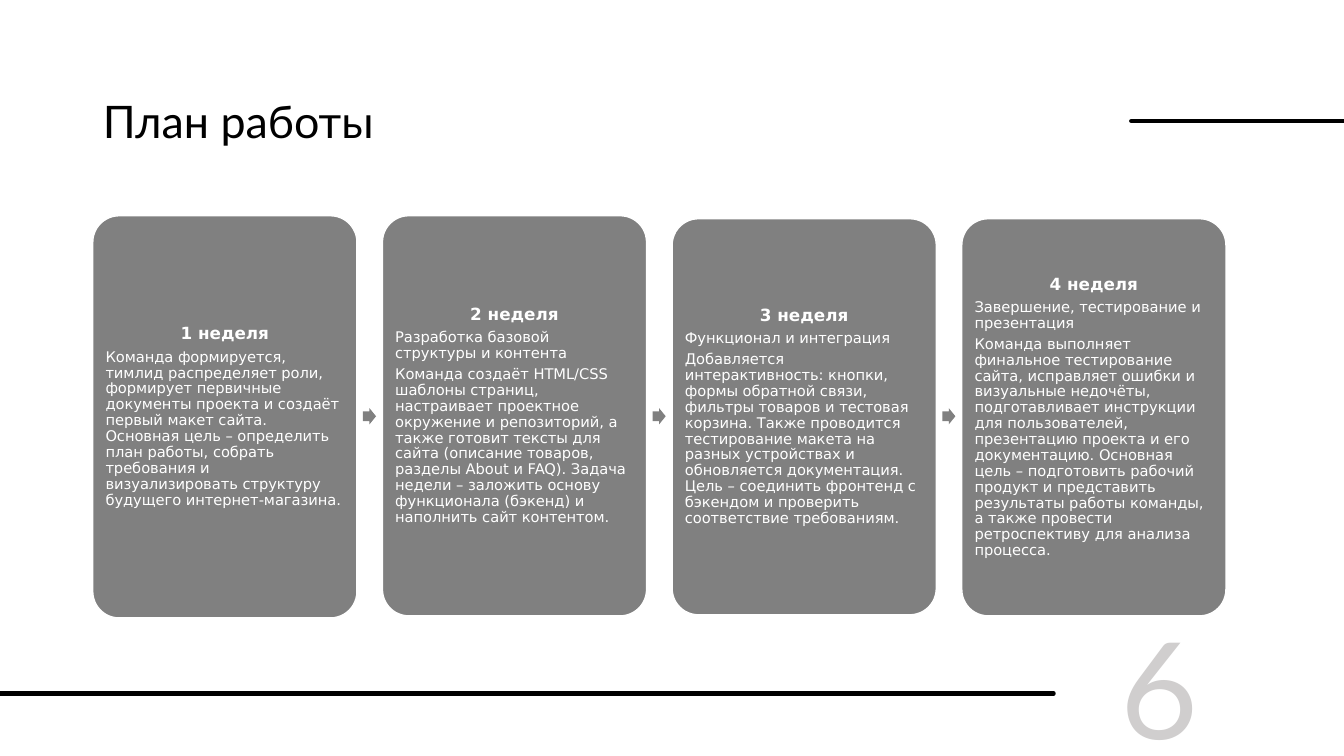
from lxml.etree import SubElement
from pptx import Presentation
from pptx.dml.color import RGBColor
from pptx.enum.shapes import MSO_CONNECTOR, MSO_SHAPE
from pptx.enum.text import MSO_ANCHOR, PP_ALIGN
from pptx.oxml.ns import qn
from pptx.util import Inches, Pt

BLACK = RGBColor(0x00, 0x00, 0x00)
WHITE = RGBColor(0xFF, 0xFF, 0xFF)
CARD_GRAY = RGBColor(0x80, 0x80, 0x80)
NUMBER_GRAY = RGBColor(0xD0, 0xCE, 0xCE)

HEADING_FONT = "Lato"
CARD_FONT = "DejaVu Sans"

GRID_LEFT = 0.92
COLUMN_STEP = 2.873
CARD_WIDTH = 2.62
ARROW_OFFSET = CARD_WIDTH + 0.06

# Top and height of each card, then its heading and paragraphs
WEEKS = [
    (2.14, 3.99, "1 неделя", [
        "Команда формируется, тимлид распределяет роли, формирует первичные "
        "документы проекта и создаёт первый макет сайта. Основная цель – "
        "определить план работы, собрать требования и визуализировать "
        "структуру будущего интернет-магазина.",
    ]),
    (2.14, 3.97, "2 неделя", [
        "Разработка базовой структуры и контента",
        "Команда создаёт HTML/CSS шаблоны страниц, настраивает проектное "
        "окружение и репозиторий, а также готовит тексты для сайта (описание "
        "товаров, разделы About и FAQ). Задача недели – заложить основу "
        "функционала (бэкенд) и наполнить сайт контентом.",
    ]),
    (2.17, 3.93, "3 неделя", [
        "Функционал и интеграция",
        "Добавляется интерактивность: кнопки, формы обратной связи, фильтры "
        "товаров и тестовая корзина. Также проводится тестирование макета на "
        "разных устройствах и обновляется документация. Цель – соединить "
        "фронтенд с бэкендом и проверить соответствие требованиям.",
    ]),
    (2.17, 3.94, "4 неделя", [
        "Завершение, тестирование и презентация",
        "Команда выполняет финальное тестирование сайта, исправляет ошибки и "
        "визуальные недочёты, подготавливает инструкции для пользователей, "
        "презентацию проекта и его документацию. Основная цель – подготовить "
        "рабочий продукт и представить результаты работы команды, а также "
        "провести ретроспективу для анализа процесса.",
    ]),
]


def style_paragraph(paragraph, font_name, size, color, bold=False):
    for run in paragraph.runs:
        run.font.name = font_name
        run.font.size = Pt(size)
        run.font.color.rgb = color
        run.font.bold = bold


def add_rule(slide, start, end, y):
    """Draw a horizontal black line with round ends."""
    rule = slide.shapes.add_connector(
        MSO_CONNECTOR.STRAIGHT, Inches(start), Inches(y), Inches(end), Inches(y))
    rule.line.color.rgb = BLACK
    rule.line.width = Pt(3)
    properties = rule._element.spPr
    properties.find(qn("a:ln")).set("cap", "rnd")
    SubElement(properties, qn("a:effectLst"))


def set_title(slide, text):
    title = slide.shapes.title
    title.left, title.top = Inches(GRID_LEFT), Inches(0.61)
    title.width, title.height = Inches(9.71), Inches(1.24)
    frame = title.text_frame
    frame.text = text
    frame.vertical_anchor = MSO_ANCHOR.MIDDLE
    heading = frame.paragraphs[0]
    heading.alignment = PP_ALIGN.LEFT
    heading.line_spacing = 0.9
    style_paragraph(heading, HEADING_FONT, 32, BLACK)


def add_page_number(slide, number):
    box = slide.shapes.add_textbox(
        Inches(11.02), Inches(6.23), Inches(1.96), Inches(1.15))
    frame = box.text_frame
    frame.word_wrap = True
    frame.vertical_anchor = MSO_ANCHOR.MIDDLE
    frame.text = number
    style_paragraph(frame.paragraphs[0], HEADING_FONT, 96, NUMBER_GRAY)


def add_gray_shape(slide, preset, left, top, width, height):
    shape = slide.shapes.add_shape(
        preset, Inches(left), Inches(top), Inches(width), Inches(height))
    shape.shadow.inherit = False
    shape.fill.solid()
    shape.fill.fore_color.rgb = CARD_GRAY
    return shape


def add_week_card(slide, left, top, height, heading, details):
    card = add_gray_shape(
        slide, MSO_SHAPE.ROUNDED_RECTANGLE, left, top, CARD_WIDTH, height)
    card.adjustments[0] = 0.1
    card.line.color.rgb = WHITE
    card.line.width = Pt(1)

    frame = card.text_frame
    frame.word_wrap = True
    frame.vertical_anchor = MSO_ANCHOR.MIDDLE
    frame.margin_left = frame.margin_right = Inches(0.05)
    frame.margin_top = frame.margin_bottom = Inches(0.05)
    frame.text = "\n".join([heading, *details])
    for index, paragraph in enumerate(frame.paragraphs):
        is_heading = index == 0
        size = 12 if is_heading else 10.5
        paragraph.alignment = PP_ALIGN.CENTER if is_heading else PP_ALIGN.LEFT
        paragraph.line_spacing = 0.9
        paragraph.space_after = Pt(size * 0.35)
        style_paragraph(paragraph, CARD_FONT, size, WHITE, bold=is_heading)


def add_arrow(slide, left):
    arrow = add_gray_shape(slide, MSO_SHAPE.RIGHT_ARROW, left, 4.05, 0.13, 0.16)
    arrow.adjustments[0] = 0.6
    arrow.adjustments[1] = 0.5
    arrow.line.fill.background()


def main():
    presentation = Presentation()
    presentation.slide_width = Inches(13.33)
    presentation.slide_height = Inches(7.5)
    slide = presentation.slides.add_slide(
        presentation.slide_layouts.get_by_name("Title Only"))

    add_rule(slide, -0.06, 10.45, 6.88)
    add_rule(slide, 11.22, 13.39, 1.2)
    add_page_number(slide, "6")
    set_title(slide, "План работы")
    for column, (top, height, heading, details) in enumerate(WEEKS):
        left = GRID_LEFT + column * COLUMN_STEP
        if column > 0:
            add_arrow(slide, left - COLUMN_STEP + ARROW_OFFSET)
        add_week_card(slide, left, top, height, heading, details)

    presentation.save("out.pptx")


if __name__ == "__main__":
    main()
